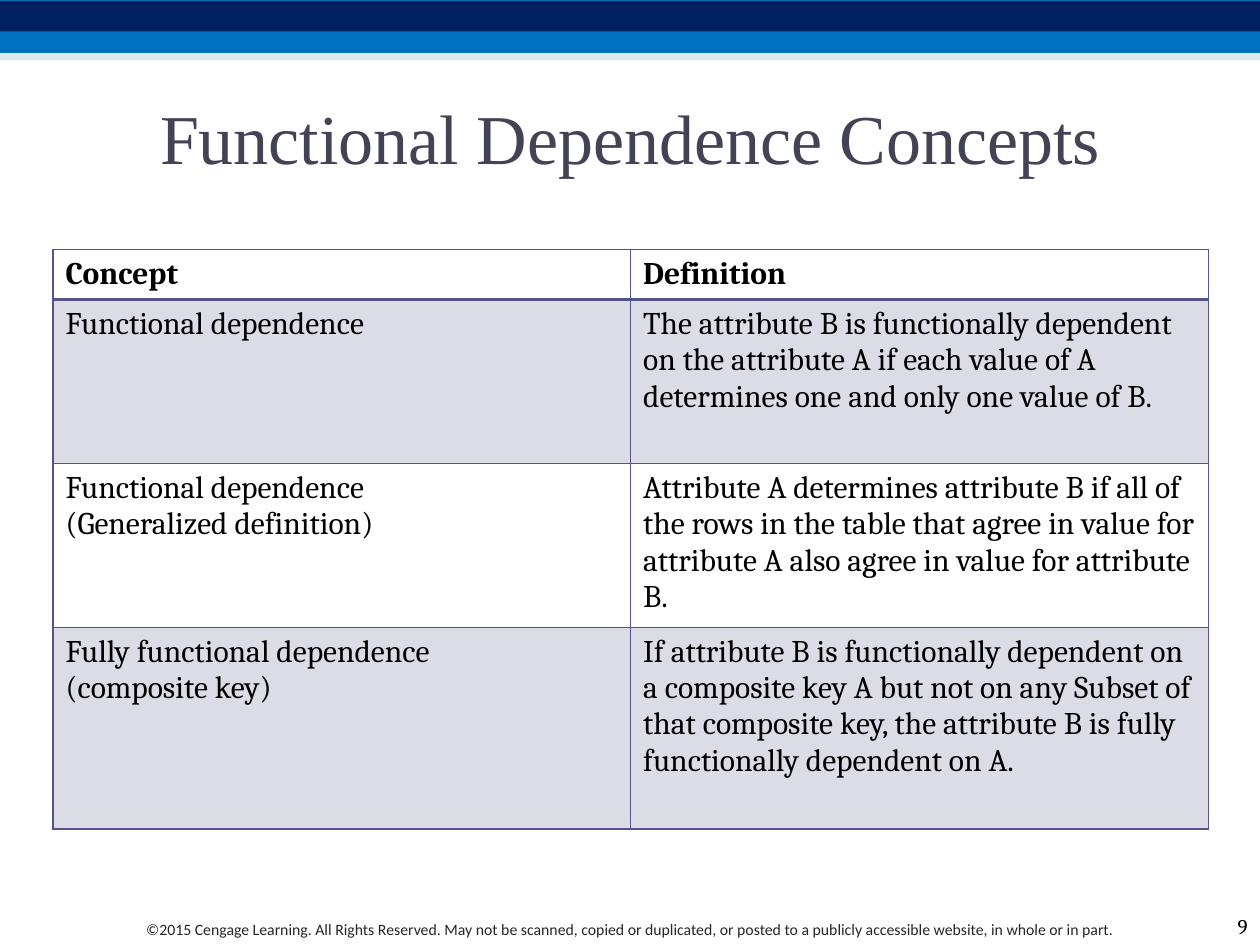
from lxml import etree
from pptx import Presentation
from pptx.dml.color import RGBColor
from pptx.enum.shapes import MSO_SHAPE
from pptx.enum.text import MSO_ANCHOR, PP_ALIGN
from pptx.oxml.ns import qn
from pptx.util import Inches, Pt

RECTANGLE = MSO_SHAPE.RECTANGLE
CENTER, RIGHT, LEFT = PP_ALIGN.CENTER, PP_ALIGN.RIGHT, PP_ALIGN.LEFT
TOP, MIDDLE, BOTTOM = MSO_ANCHOR.TOP, MSO_ANCHOR.MIDDLE, MSO_ANCHOR.BOTTOM

TITLE = "Functional Dependence Concepts"
COPYRIGHT = (
    "©2015 Cengage Learning. All Rights Reserved. May not be scanned, copied or "
    "duplicated, or posted to a publicly accessible website, in whole or in part."
)
PAGE_NUMBER = "9"
ROWS = [
    (["Concept"], ["Definition"]),
    (["Functional dependence"],
     ["The attribute B is functionally dependent on the attribute A if each value "
      "of A determines one and only one value of B."]),
    (["Functional dependence", "(Generalized definition)"],
     ["Attribute A determines attribute B if all of the rows in the table that agree "
      "in value for attribute A also agree in value for attribute B."]),
    (["Fully functional dependence", "(composite key)"],
     ["If attribute B is functionally dependent on a composite key A but not on any "
      "Subset of that composite key, the attribute B is fully functionally dependent on A."]),
]
ROW_HEIGHTS = [0.4, 1.3, 1.3, 1.6]
TABLE_BOX = (0.42, 1.98, 9.17, 4.6)
BANDS = [
    (0, 0.42, "0070C0", 100),
    (0.01, 0.24, "002060", 100),
    (0.42, 0.06, "BED3E1", 50),
]
ACCENT = "53548A"

TITLE_FORMAT = {"name": "Times New Roman", "size": Pt(40), "bold": False}
FOOTER_FORMAT = {"name": "Calibri", "size": Pt(9)}
NUMBER_FORMAT = {"name": "Cambria", "size": Pt(12)}
HEADER_FORMAT = {"name": "Cambria", "size": Pt(18), "bold": True}
BODY_FORMAT = {**HEADER_FORMAT, "bold": False}


def color(value):
    return RGBColor.from_string(value)


def inches(box):
    return [Inches(length) for length in box]


def paint(fill, properties, value, opacity=100):
    fill.solid()
    fill.fore_color.rgb = color(value)
    if opacity < 100:
        source = properties.find(f"{qn('a:solidFill')}/{qn('a:srgbClr')}")
        etree.SubElement(source, qn("a:alpha"), val=str(opacity * 1000))


def write(frame, lines, font_format, font_color, alignment=LEFT):
    frame.text = "\n".join(lines)
    for paragraph in frame.paragraphs:
        paragraph.alignment = alignment
        for name, value in font_format.items():
            setattr(paragraph.font, name, value)
        paragraph.font.color.rgb = color(font_color)


def add_label(slide, box, text, font_format, font_color, alignment, anchor):
    frame = slide.shapes.add_textbox(*inches(box)).text_frame
    frame.word_wrap = True
    frame.vertical_anchor = anchor
    write(frame, [text], font_format, font_color, alignment)


def add_borders(properties, widths):
    for index, (side, width) in enumerate(widths.items()):
        line = etree.Element(qn(f"a:ln{side}"), w=str(Pt(width)))
        solid = etree.SubElement(line, qn("a:solidFill"))
        etree.SubElement(solid, qn("a:srgbClr"), val=ACCENT)
        properties.insert(index, line)


def add_concept_table(slide):
    table = slide.shapes.add_table(len(ROWS), len(ROWS[0]), *inches(TABLE_BOX)).table
    for column in table.columns:
        column.width = Inches(TABLE_BOX[2] / len(ROWS[0]))
    for row_index, (row, height) in enumerate(zip(ROWS, ROW_HEIGHTS)):
        table.rows[row_index].height = Inches(height)
        for column_index, lines in enumerate(row):
            cell = table.cell(row_index, column_index)
            properties = cell._tc.get_or_add_tcPr()
            write(cell.text_frame, lines, BODY_FORMAT if row_index else HEADER_FORMAT, "000000")
            if row_index % 2:
                paint(cell.fill, properties, ACCENT, 20)
            else:
                cell.fill.background()
            add_borders(properties, {
                "L": 1,
                "R": 1,
                "T": 2 if row_index == 1 else 1,
                "B": 2 if row_index == 0 else 1,
            })


def main():
    presentation = Presentation()
    presentation.slide_width, presentation.slide_height = Inches(10), Inches(7.5)
    slide = presentation.slides.add_slide(presentation.slide_layouts[5])

    for top, height, fill_color, opacity in BANDS:
        band = slide.shapes.add_shape(RECTANGLE, *inches((0, top, 10, height)))
        band.shadow.inherit = False
        band.line.fill.background()
        paint(band.fill, band._element.spPr, fill_color, opacity)

    add_label(slide, (0.58, 7.25, 8.83, 0.25), COPYRIGHT, FOOTER_FORMAT, "262626", CENTER, TOP)

    title = slide.shapes.title
    title.left, title.top, title.width, title.height = inches((0.5, 0.5, 9, 1.17))
    title.text_frame.vertical_anchor = MIDDLE
    write(title.text_frame, [TITLE], TITLE_FORMAT, "424456", CENTER)

    add_concept_table(slide)
    add_label(slide, (9.5, 7.17, 0.5, 0.33), PAGE_NUMBER, NUMBER_FORMAT, "000000", RIGHT, BOTTOM)
    presentation.save("out.pptx")


if __name__ == "__main__":
    main()
